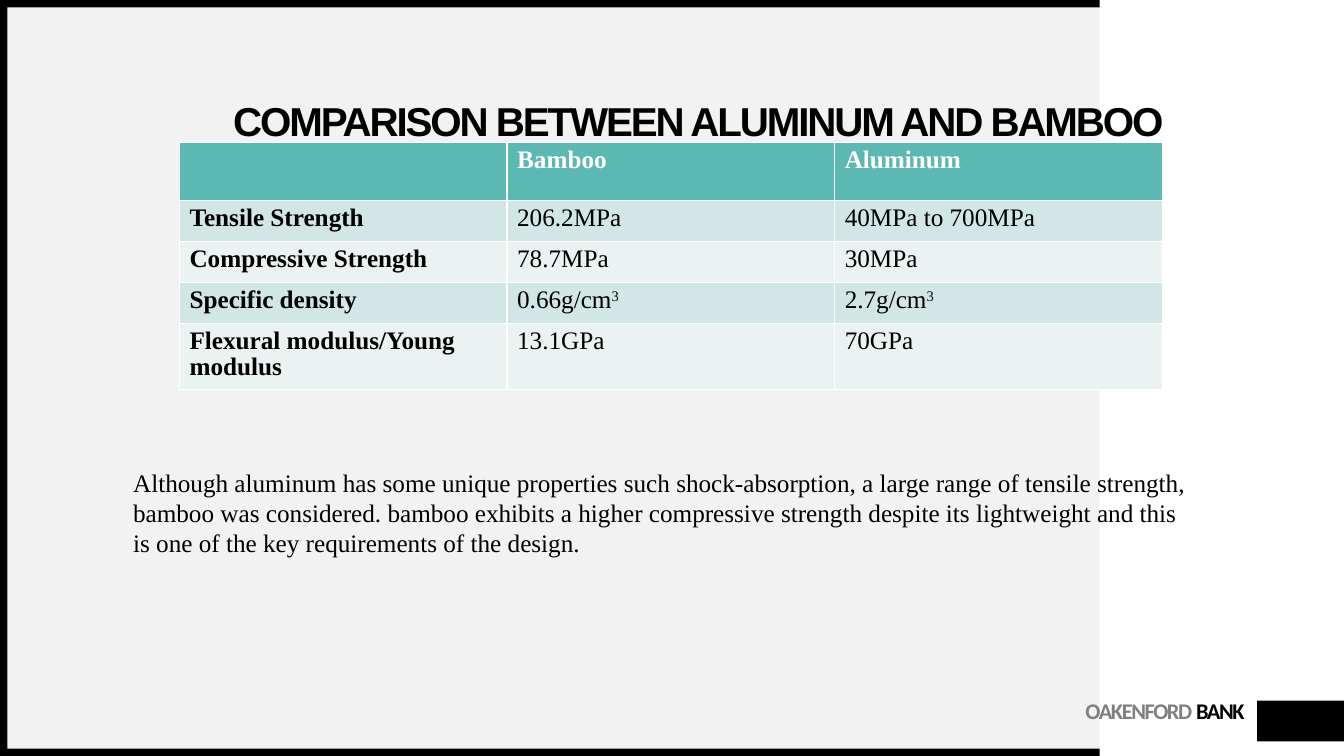
from pptx import Presentation
from pptx.dml.color import RGBColor
from pptx.enum.shapes import MSO_SHAPE
from pptx.enum.text import MSO_ANCHOR, PP_ALIGN
from pptx.util import Pt

RECT = MSO_SHAPE.RECTANGLE
LEFT, RIGHT = PP_ALIGN.LEFT, PP_ALIGN.RIGHT
MIDDLE = MSO_ANCHOR.MIDDLE
WIDTH, HEIGHT = 960, 540
BLACK, WHITE, GREY = "000000", "FFFFFF", "808080"
PANEL, TEAL, BANDS = "F2F2F2", "5CB8B3", ("D2E6E5", "EAF3F2")
SERIF = "Times New Roman"

PROPERTIES = [
    ("", "Bamboo", "Aluminum"),
    ("Tensile Strength", "206.2MPa", "40MPa to 700MPa"),
    ("Compressive Strength", "78.7MPa", "30MPa"),
    ("Specific density", "0.66g/cm^3", "2.7g/cm^3"),
    ("Flexural modulus/Young modulus", "13.1GPa", "70GPa"),
]
ROW_HEIGHTS = (41.5, 29.3, 29.3, 29.3, 47)
CONCLUSION = (
    "Although aluminum has some unique properties such shock-absorption, "
    "a large range of tensile strength, bamboo was considered. bamboo exhibits "
    "a higher compressive strength despite its lightweight and this is one of "
    "the key requirements of the design."
)


def rgb(value):
    return RGBColor.from_string(value)


def in_points(box):
    return [Pt(length) for length in box]


def set_font(paragraph, name, size, color, bold=False):
    font = paragraph.font
    font.name, font.size, font.bold = name, Pt(size), bold
    font.color.rgb = rgb(color)


def set_run_attribute(run, name, value):
    """Set a character property, such as spc or baseline, in hundredths or thousandths."""
    run._r.get_or_add_rPr().set(name, str(value))


def clear_margins(frame):
    frame.margin_left = frame.margin_right = 0
    frame.margin_top = frame.margin_bottom = 0


def add_block(slide, box, color):
    block = slide.shapes.add_shape(RECT, *in_points(box))
    block.shadow.inherit = False
    block.fill.solid()
    block.fill.fore_color.rgb = rgb(color)
    block.line.fill.background()


def add_backdrop(slide, box):
    """Grey panel framed in black on its left, top and bottom."""
    left, top, width, height = box
    edge = 5.3
    add_block(slide, (left + edge, top + edge, width - edge, height - 2 * edge), PANEL)
    add_block(slide, (left, top + height - edge, width, edge), BLACK)
    add_block(slide, (left, top, width, edge), BLACK)
    add_block(slide, (left, top, edge, height), BLACK)


def add_brand(slide, box):
    """Bank name with a black block running to the right edge."""
    left, top, width, height = box
    block_width = 62
    add_block(slide, (left + width - block_width, top, block_width, height), BLACK)
    label = slide.shapes.add_textbox(*in_points((left, top, width - block_width - 9, height)))
    frame = label.text_frame
    frame.word_wrap = True
    clear_margins(frame)
    frame.margin_top = Pt(2.9)
    paragraph = frame.paragraphs[0]
    paragraph.alignment = RIGHT
    paragraph.line_spacing = Pt(14)
    set_font(paragraph, "Calibri", 16, BLACK, bold=True)
    for word, color in (("OAKENFORD ", GREY), ("BANK", BLACK)):
        run = paragraph.add_run()
        run.text = word
        run.font.color.rgb = rgb(color)
        set_run_attribute(run, "spc", -100)


def place_title(slide, box, text):
    title = slide.shapes.title
    title.left, title.top, title.width, title.height = in_points(box)
    title.element.getparent().append(title.element)  # in front of the backdrop
    frame = title.text_frame
    frame.text = text
    frame.vertical_anchor = MIDDLE
    clear_margins(frame)
    paragraph = frame.paragraphs[0]
    paragraph.alignment = LEFT
    paragraph.line_spacing = 0.9
    set_font(paragraph, "Arial", 28.8, BLACK, bold=True)
    set_run_attribute(paragraph.runs[0], "spc", -150)


def fill_cell(cell, text, fill, color, bold):
    """Write text into a cell; what follows ^ is raised."""
    cell.fill.solid()
    cell.fill.fore_color.rgb = rgb(fill)
    paragraph = cell.text_frame.paragraphs[0]
    paragraph.line_spacing = 0.93
    set_font(paragraph, SERIF, 18, color, bold)
    base, _, exponent = text.partition("^")
    if base:
        paragraph.add_run().text = base
    if exponent:
        raised = paragraph.add_run()
        raised.text = exponent
        set_run_attribute(raised, "baseline", 30000)


def add_comparison(slide, box):
    columns = len(PROPERTIES[0])
    table = slide.shapes.add_table(len(PROPERTIES), columns, *in_points(box)).table
    for column in table.columns:
        column.width = Pt(box[2] / columns)
    for r, (values, height) in enumerate(zip(PROPERTIES, ROW_HEIGHTS)):
        table.rows[r].height = Pt(height)
        header = r == 0
        fill = TEAL if header else BANDS[(r - 1) % 2]
        for c, value in enumerate(values):
            fill_cell(table.cell(r, c), value, fill,
                      WHITE if header else BLACK, header or c == 0)


def add_conclusion(slide, box):
    frame = slide.shapes.add_textbox(*in_points(box)).text_frame
    frame.word_wrap = True
    paragraph = frame.paragraphs[0]
    paragraph.text = CONCLUSION
    set_font(paragraph, SERIF, 18, BLACK)


def main():
    deck = Presentation()
    deck.slide_width, deck.slide_height = Pt(WIDTH), Pt(HEIGHT)
    slide = deck.slides.add_slide(deck.slide_layouts[5])
    add_backdrop(slide, (0, 0, 785.5, HEIGHT))
    add_brand(slide, (758, 500.5, WIDTH - 758, 29))
    place_title(slide, (166.5, 64, 695, 48), "COMPARISON BETWEEN ALUMINUM AND BAMBOO")
    add_comparison(slide, (128.2, 102, 702, sum(ROW_HEIGHTS)))
    add_conclusion(slide, (88, 330, 768, 94))
    deck.save("out.pptx")


if __name__ == "__main__":
    main()
